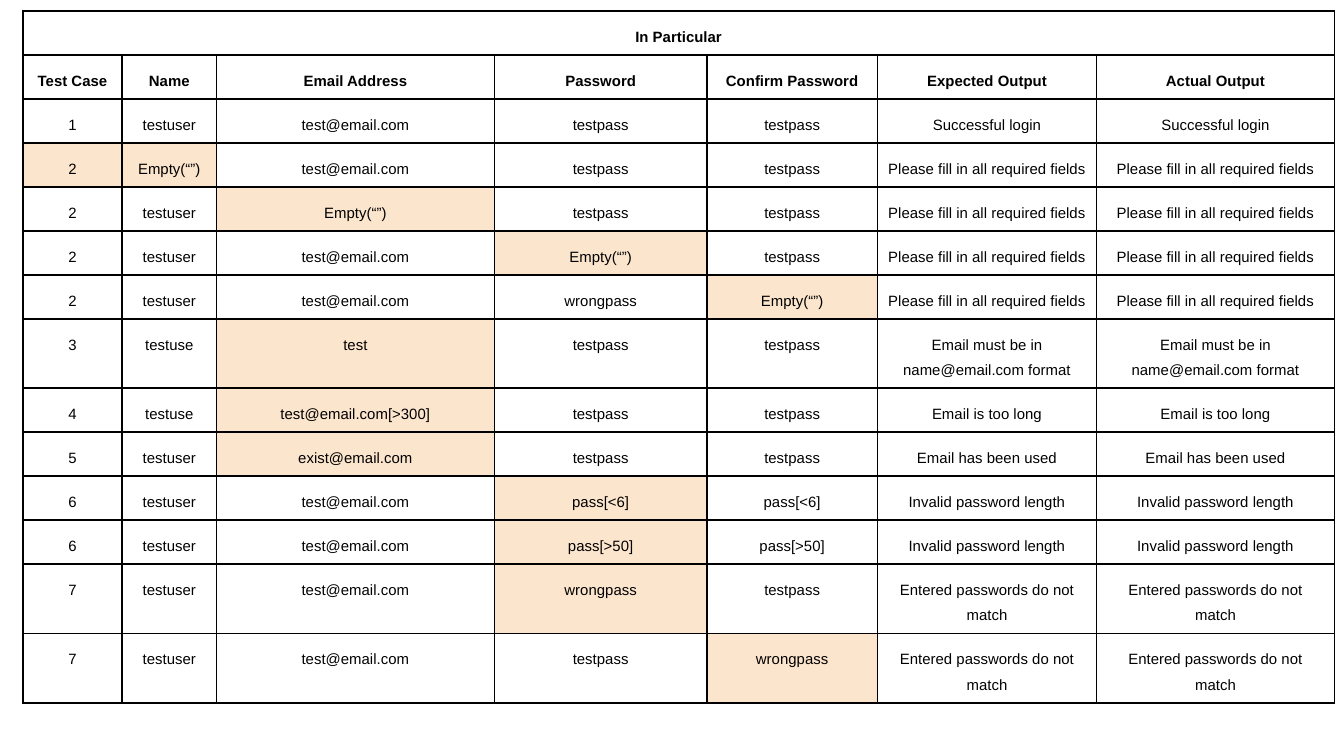
"""Build a slide with a table of registration form test cases."""
from lxml import etree
from pptx import Presentation
from pptx.dml.color import RGBColor
from pptx.enum.text import PP_ALIGN
from pptx.oxml.ns import qn
from pptx.util import Inches, Pt

CENTER = PP_ALIGN.CENTER
BLACK, PEACH = "000000", "FCE5CD"
COL_WIDTHS = [0.74, 0.7, 2.07, 1.58, 1.27, 1.63, 1.77]
HEADERS = ["Test Case", "Name", "Email Address", "Password",
           "Confirm Password", "Expected Output", "Actual Output"]
EMAIL = "test@email.com"
EMPTY = "Empty(“”)"
REQUIRED = "Please fill in all required fields"
BAD_FORMAT = "Email must be in name@email.com format"
BAD_LENGTH = "Invalid password length"
MISMATCH = "Entered passwords do not match"
TALL_OUTPUTS = (BAD_FORMAT, MISMATCH)
CASES = [
    ("1", "testuser", EMAIL, "testpass", "testpass", "Successful login", []),
    ("2", EMPTY, EMAIL, "testpass", "testpass", REQUIRED, [0, 1]),
    ("2", "testuser", EMPTY, "testpass", "testpass", REQUIRED, [2]),
    ("2", "testuser", EMAIL, EMPTY, "testpass", REQUIRED, [3]),
    ("2", "testuser", EMAIL, "wrongpass", EMPTY, REQUIRED, [4]),
    ("3", "testuse", "test", "testpass", "testpass", BAD_FORMAT, [2]),
    ("4", "testuse", EMAIL + "[>300]", "testpass", "testpass", "Email is too long", [2]),
    ("5", "testuser", "exist@email.com", "testpass", "testpass", "Email has been used", [2]),
    ("6", "testuser", EMAIL, "pass[<6]", "pass[<6]", BAD_LENGTH, [3]),
    ("6", "testuser", EMAIL, "pass[>50]", "pass[>50]", BAD_LENGTH, [3]),
    ("7", "testuser", EMAIL, "wrongpass", "testpass", MISMATCH, [3]),
    ("7", "testuser", EMAIL, "testpass", "wrongpass", MISMATCH, [4]),
]


def rgb(color):
    """Turn a hex string into a colour."""
    return RGBColor.from_string(color)


def add_borders(cell):
    """Draw a thin black line on each side of a cell."""
    tc_pr = cell._tc.get_or_add_tcPr()
    for side in ("a:lnL", "a:lnR", "a:lnT", "a:lnB"):
        ln = etree.SubElement(tc_pr, qn(side), w=str(Pt(1)))
        fill = etree.SubElement(ln, qn("a:solidFill"))
        etree.SubElement(fill, qn("a:srgbClr"), val=BLACK)


prs = Presentation()
prs.slide_width = Inches(10)
prs.slide_height = Inches(10 * 9 / 16)
s = prs.slides.add_slide(prs.slide_layouts[6])

rows = [(["In Particular"] + [""] * 6, []), (HEADERS, [])]
for *fields, output, marked in CASES:
    rows.append((fields + [output, output], marked))

table = s.shapes.add_table(len(rows), len(HEADERS), Inches(0.17), Inches(0.08),
                           Inches(sum(COL_WIDTHS)), Inches(0.32 * len(rows))).table
table.first_row = table.horz_banding = False
for column, width in zip(table.columns, COL_WIDTHS):
    column.width = Inches(width)
table.cell(0, 0).merge(table.cell(0, len(HEADERS) - 1))

for i, (texts, marked) in enumerate(rows):
    table.rows[i].height = Inches(0.51 if texts[-1] in TALL_OUTPUTS else 0.32)
    for j, text in enumerate(texts):
        cell = table.cell(i, j)
        cell.margin_left = cell.margin_right = Inches(0.07)
        cell.margin_top = cell.margin_bottom = Inches(0.07)
        add_borders(cell)
        if j in marked:
            cell.fill.solid()
            cell.fill.fore_color.rgb = rgb(PEACH)
        else:
            cell.fill.background()
        p = cell.text_frame.paragraphs[0]
        p.text = text
        p.alignment = CENTER
        p.line_spacing = 1.5
        p.font.size = Pt(8)
        for r in p.runs:
            r.font.name = "Arial"
            r.font.size = Pt(8)
            r.font.bold = i < 2
            r.font.color.rgb = rgb(BLACK)

prs.save("out.pptx")
